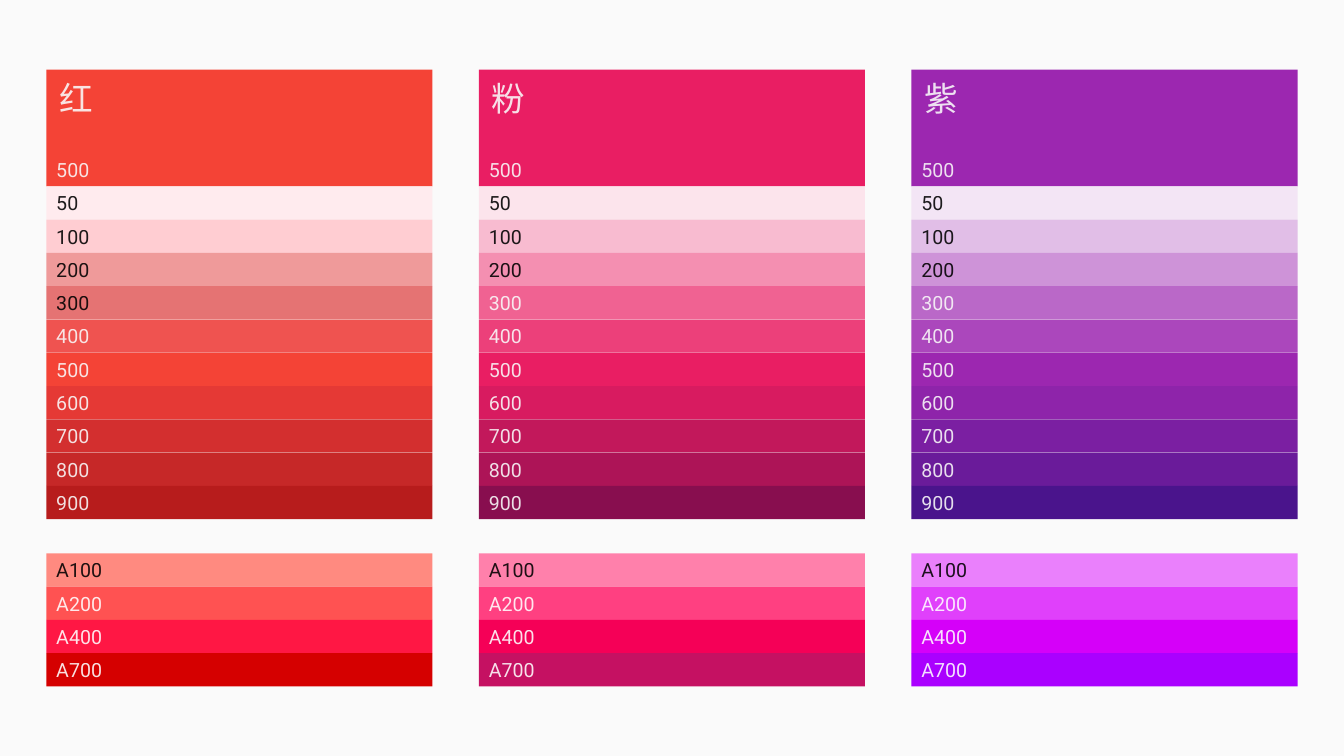
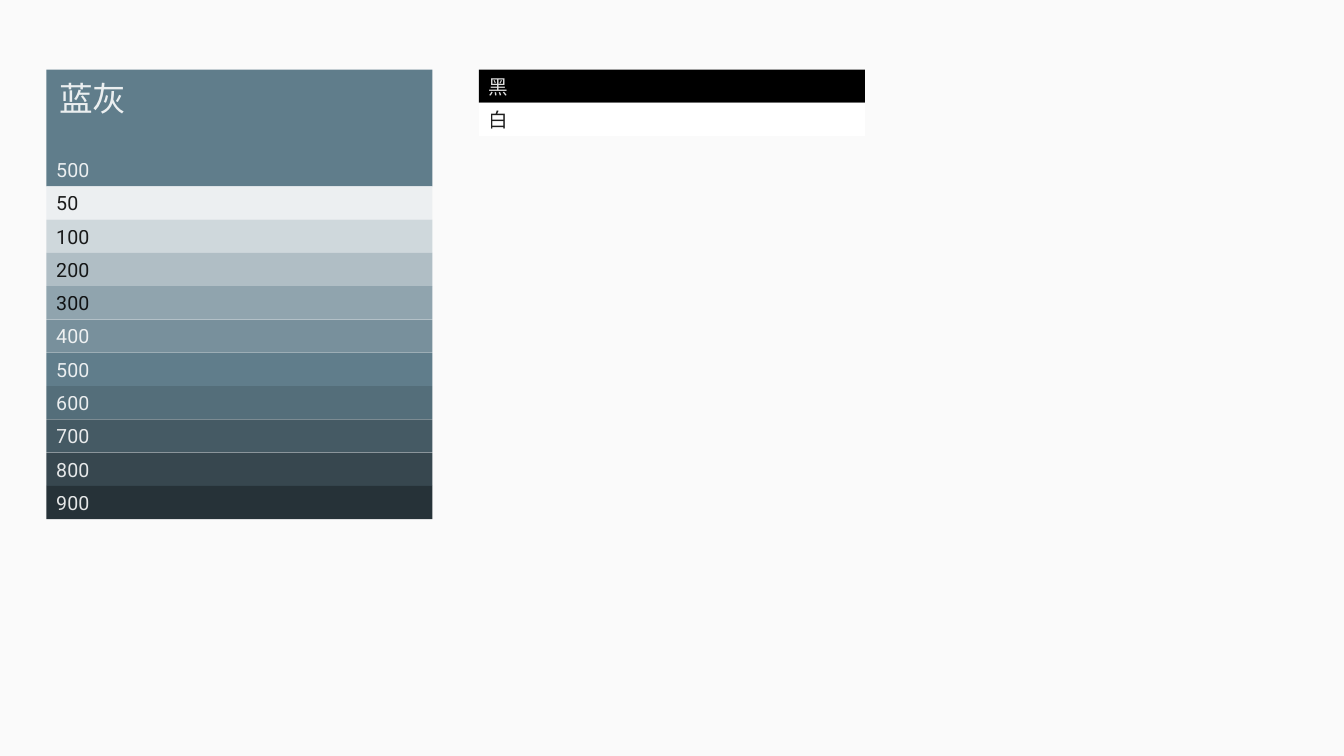
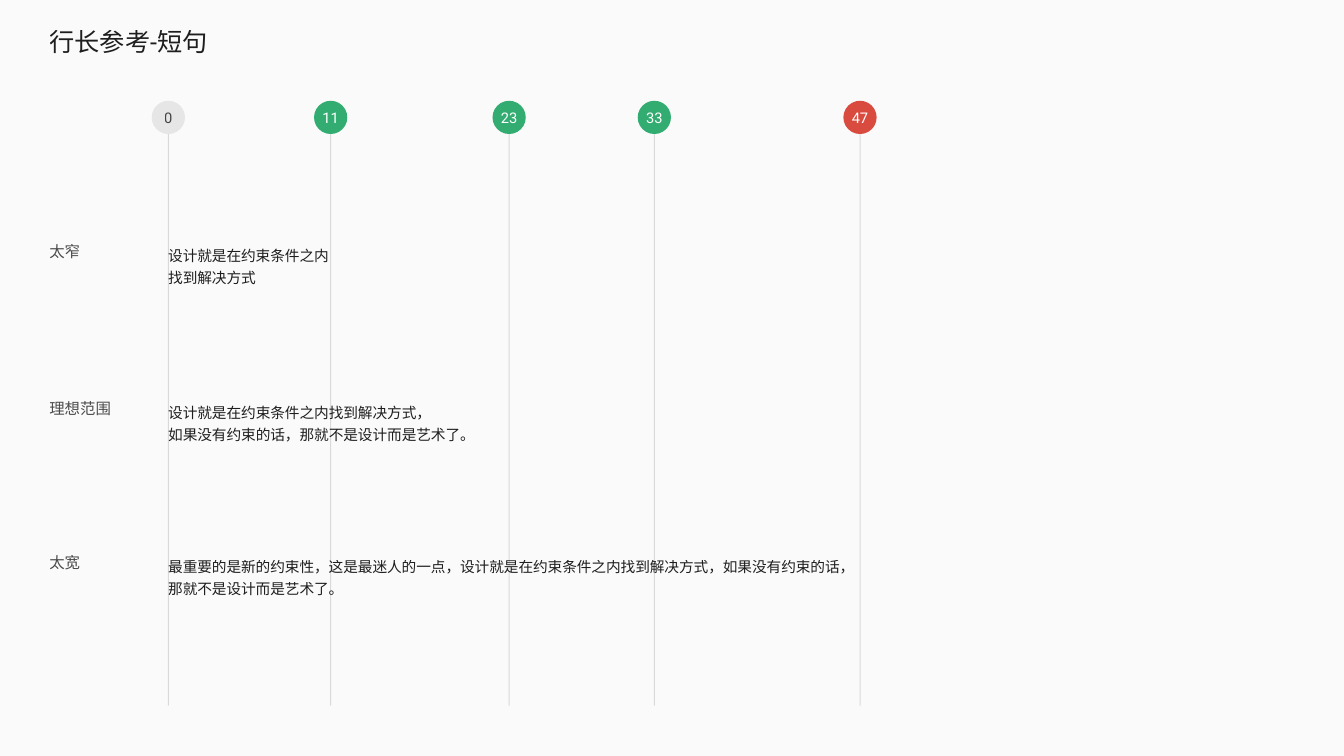
from lxml import etree
from pptx import Presentation
from pptx.dml.color import RGBColor
from pptx.enum.dml import MSO_LINE
from pptx.enum.shapes import MSO_CONNECTOR, MSO_SHAPE
from pptx.enum.text import MSO_ANCHOR, MSO_AUTO_SIZE, PP_ALIGN
from pptx.oxml.ns import qn
from pptx.util import Inches, Pt

RECTANGLE, OVAL = MSO_SHAPE.RECTANGLE, MSO_SHAPE.OVAL
STRAIGHT, SOLID = MSO_CONNECTOR.STRAIGHT, MSO_LINE.SOLID
TOP, MIDDLE, BOTTOM = MSO_ANCHOR.TOP, MSO_ANCHOR.MIDDLE, MSO_ANCHOR.BOTTOM
LEFT, CENTER = PP_ALIGN.LEFT, PP_ALIGN.CENTER
FIXED = MSO_AUTO_SIZE.NONE
TITLE_ONLY, BLANK = 5, 6

LATIN, CJK = "Roboto", "Noto Sans CJK SC"
COLORS = {
    "page": "FAFAFA", "black": "000000", "white": "FFFFFF",
    "start": "E6E6E6", "good": "33AC71", "bad": "DA4B3F",
}
SHADES = ["50", "100", "200", "300", "400", "500", "600", "700", "800", "900"]
ACCENTS = ["A100", "A200", "A400", "A700"]
PALETTES = {
    "红": ["FFEBEE", "FFCDD2", "EF9A9A", "E57373", "EF5350",
          "F44336", "E53935", "D32F2F", "C62828", "B71C1C"],
    "粉": ["FCE4EC", "F8BBD0", "F48FB1", "F06292", "EC407A",
          "E91E63", "D81B60", "C2185B", "AD1457", "880E4F"],
    "紫": ["F3E5F5", "E1BEE7", "CE93D8", "BA68C8", "AB47BC",
          "9C27B0", "8E24AA", "7B1FA2", "6A1B9A", "4A148C"],
    "蓝灰": ["ECEFF1", "CFD8DC", "B0BEC5", "90A4AE", "78909C",
           "607D8B", "546E7A", "455A64", "37474F", "263238"],
}
ACCENT_COLORS = {
    "红": ["FF8A80", "FF5252", "FF1744", "D50000"],
    "粉": ["FF80AB", "FF4081", "F50057", "C51162"],
    "紫": ["EA80FC", "E040FB", "D500F9", "AA00FF"],
}
DARK_LABELS = {"红": 4, "粉": 3, "紫": 3, "蓝灰": 4}

MARGIN, COLUMN_STEP, COLUMN_WIDTH = 0.46, 4.29, 3.83
COLUMN_TOP, HEAD_HEIGHT, ROW_HEIGHT = 0.69, 1.16, 0.33
ACCENT_TOP = 5.49
RULER_TOP, RULER_BOTTOM, MARKER_SIZE = 1, 7, 0.33


class StyledDeck:
    """Holds the shared style and the current page, and draws each element."""

    def __init__(self):
        self.deck = Presentation()
        self.deck.slide_width, self.deck.slide_height = Inches(13.33), Inches(7.5)
        fill = self.deck.slide_master.background.fill
        fill.solid()
        fill.fore_color.rgb = RGBColor.from_string(COLORS["page"])
        self.page = None

    def add_page(self, layout=BLANK):
        self.page = self.deck.slides.add_slide(self.deck.slide_layouts[layout])

    def set_alpha(self, element, percent):
        for color in element.iter(qn("a:srgbClr")):
            etree.SubElement(color, qn("a:alpha"), val=str(percent * 1000))

    def set_text(self, box, lines, size, color, alpha=87, font=LATIN, align=LEFT,
                 anchor=TOP, wrap=True, spacing=None):
        frame = box.text_frame
        frame.text = "\n".join(lines)
        frame.word_wrap = wrap
        frame.auto_size = FIXED
        frame.vertical_anchor = anchor
        for para in frame.paragraphs:
            para.alignment = align
            if spacing:
                para.line_spacing = Pt(spacing)
            para.font.size = Pt(size)
            para.font.name = font
            para.font.color.rgb = RGBColor.from_string(color)
            latin = next(para._p.iter(qn("a:latin")))
            latin.addnext(latin.makeelement(qn("a:ea"), typeface=CJK))
            if alpha < 100:
                self.set_alpha(para._p, alpha)

    def title(self, text, left, top, width, height):
        box = self.page.shapes.title
        box.left, box.top = Inches(left), Inches(top)
        box.width, box.height = Inches(width), Inches(height)
        self.set_text(box, [text], 18, COLORS["black"])

    def text(self, lines, left, top, width, height, size, color, **style):
        box = self.page.shapes.add_textbox(
            Inches(left), Inches(top), Inches(width), Inches(height))
        self.set_text(box, lines, size, color, **style)

    def shape(self, kind, left, top, width, height, color):
        box = self.page.shapes.add_shape(
            kind, Inches(left), Inches(top), Inches(width), Inches(height))
        box.shadow.inherit = False
        box.fill.solid()
        box.fill.fore_color.rgb = RGBColor.from_string(color)
        box.line.fill.background()
        return box

    def swatch(self, label, left, top, color, label_color,
               height=ROW_HEIGHT, anchor=MIDDLE, font=LATIN):
        box = self.shape(RECTANGLE, left, top, COLUMN_WIDTH, height, color)
        self.set_text(box, [label], 14, label_color, font=font, anchor=anchor)

    def swatches(self, labels, colors, left, top, dark_count, light):
        for row, (label, color) in enumerate(zip(labels, colors)):
            label_color = COLORS["black"] if row < dark_count else light
            self.swatch(label, left, top + row * ROW_HEIGHT, color, label_color)

    def palette(self, name, column, light):
        left = MARGIN + column * COLUMN_STEP
        shades = PALETTES[name]
        self.swatch("500", left, COLUMN_TOP, shades[SHADES.index("500")], light,
                    height=HEAD_HEIGHT, anchor=BOTTOM)
        self.text([name], left + 0.03, COLUMN_TOP + 0.03, 0.2 + 0.34 * len(name), 0.5,
                  24, light, font=CJK, wrap=False)
        self.swatches(SHADES, shades, left, COLUMN_TOP + HEAD_HEIGHT,
                      DARK_LABELS[name], light)
        self.swatches(ACCENTS, ACCENT_COLORS.get(name, []), left, ACCENT_TOP,
                      1, COLORS["white"])

    def ruler(self, label, center, color, label_color, alpha):
        line = self.page.shapes.add_connector(
            STRAIGHT, Inches(center), Inches(RULER_TOP), Inches(center), Inches(RULER_BOTTOM))
        line.line.width = Pt(0.75)
        line.line.color.rgb = RGBColor.from_string(COLORS["black"])
        line.line.dash_style = SOLID
        properties = line._element.spPr
        self.set_alpha(properties, 12)
        etree.SubElement(properties, qn("a:effectLst"))
        marker = self.shape(OVAL, center - MARKER_SIZE / 2, RULER_TOP,
                            MARKER_SIZE, MARKER_SIZE, color)
        frame = marker.text_frame
        frame.margin_left = frame.margin_right = frame.margin_top = frame.margin_bottom = 0
        self.set_text(marker, [label], 10.5, label_color, alpha=alpha, align=CENTER,
                      anchor=MIDDLE, wrap=False)

    def sample(self, label, lines, top, width, wrap):
        self.text([label], 0.39, top, 0.2 + 0.155 * len(label), 0.29,
                  11, COLORS["black"], alpha=70, wrap=False)
        self.text(lines, 1.57, top, width, 0.55, 10.5, COLORS["black"],
                  wrap=wrap, spacing=15.8)


def main():
    show = StyledDeck()
    black, white = COLORS["black"], COLORS["white"]

    show.add_page()
    for column, name in enumerate(["红", "粉", "紫"]):
        show.palette(name, column, COLORS["page"])

    show.add_page()
    show.palette("蓝灰", 0, white)
    for row, (name, color, label_color) in enumerate(
            [("黑", black, white), ("白", white, black)]):
        show.swatch(name, MARGIN + COLUMN_STEP, COLUMN_TOP + row * ROW_HEIGHT,
                    color, label_color, font=CJK)

    show.add_page(TITLE_ONLY)
    show.title("行长参考-短句", 0.39, 0.21, 1.79, 0.4)
    show.ruler("0", 1.67, COLORS["start"], black, 70)
    for label, center, rating in [("11", 3.28, "good"), ("23", 5.05, "good"),
                                  ("33", 6.49, "good"), ("47", 8.53, "bad")]:
        show.ruler(label, center, COLORS[rating], white, 100)
    show.sample("太窄", ["设计就是在约束条件之内找到解决方式"], 2.35, 1.83, True)
    show.sample("理想范围", ["设计就是在约束条件之内找到解决方式，",
                         "如果没有约束的话，那就不是设计而是艺术了。"], 3.91, 3.29, False)
    show.sample("太宽", ["最重要的是新的约束性，这是最迷人的一点，设计就是在约束条件之内"
                       "找到解决方式，如果没有约束的话，那就不是设计而是艺术了。"],
                5.44, 7.07, True)

    show.deck.save("out.pptx")


if __name__ == "__main__":
    main()
